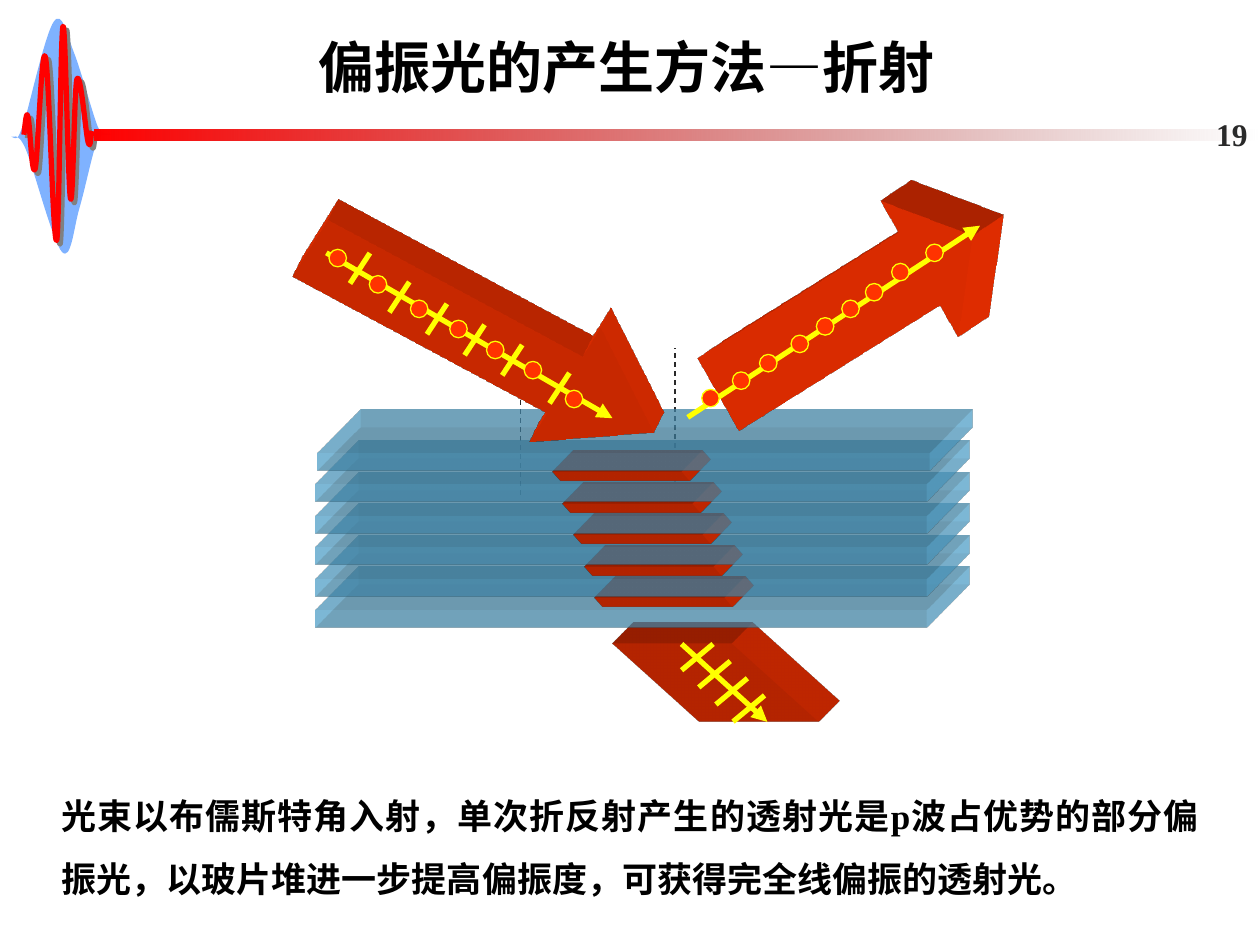
import dataclasses

import lxml.etree
import pptx
import pptx.dml.color
import pptx.enum.dml
import pptx.enum.shapes
import pptx.enum.text
import pptx.oxml.ns
import pptx.util

Pt = pptx.util.Pt
Shape = pptx.enum.shapes.MSO_SHAPE
Align = pptx.enum.text.PP_ALIGN
Anchor = pptx.enum.text.MSO_ANCHOR


@dataclasses.dataclass(frozen=True)
class Theme:
    ink: str = "000000"
    grey: str = "292929"
    shade: str = "808080"
    beam: str = "FF3300"
    ray: str = "FFFF00"
    glass: str = "66CCFF"
    pulse: str = "FF0000"
    fade: str = "760000"
    envelope: str = "0066FF"
    cjk: str = "Noto Sans CJK SC"
    latin: str = "Times New Roman"
    title_size: int = 32
    body_size: int = 20
    number_size: int = 18


def color(value):
    return pptx.dml.color.RGBColor.from_string(value)


def child(parent, tag, **attributes):
    element = lxml.etree.SubElement(parent, pptx.oxml.ns.qn(tag))
    for name, value in attributes.items():
        element.set(name, str(value))
    return element


class Painter:
    def __init__(self, slide, theme):
        self.slide = slide
        self.theme = theme

    def text(self, left, top, width, height, words, size, font, align, ink, anchor, spacing=1.0):
        box = self.slide.shapes.add_textbox(Pt(left), Pt(top), Pt(width), Pt(height))
        frame = box.text_frame
        frame.word_wrap = True
        frame.vertical_anchor = anchor
        para = frame.paragraphs[0]
        para.alignment = align
        para.line_spacing = spacing
        para.font.size = Pt(size)
        para.font.bold = True
        para.font.name = font
        para.font.color.rgb = color(ink)
        span = para.add_run()
        span.text = words
        child(span.font._element, "a:ea", typeface=self.theme.cjk)

    def solid(self, shape, fill, opacity=100):
        shape.shadow.inherit = False
        shape.line.fill.background()
        shape.fill.solid()
        shape.fill.fore_color.rgb = color(fill)
        if opacity < 100:
            tint = shape._element.spPr.find(".//" + pptx.oxml.ns.qn("a:srgbClr"))
            child(tint, "a:alpha", val=opacity * 1000)

    def shape(self, kind, left, top, width, height, fill, opacity=100, adjust=(), rotation=0, flip=None):
        shape = self.slide.shapes.add_shape(kind, Pt(left), Pt(top), Pt(width), Pt(height))
        self.solid(shape, fill, opacity)
        for index, value in enumerate(adjust):
            shape.adjustments[index] = value
        shape.rotation = rotation
        if flip:
            shape._element.spPr.get_or_add_xfrm().set(flip, "1")
        return shape

    def block(self, *args, depth=33.87, turn=0, light="b", **options):
        shape = self.shape(*args, **options)
        properties = shape._element.spPr
        scene = child(properties, "a:scene3d")
        camera = child(scene, "a:camera", prst="legacyObliqueTopRight")
        if turn:
            child(camera, "a:rot", lat=0, lon=turn * 60000, rev=0)
        child(scene, "a:lightRig", rig="legacyFlat3", dir=light)
        solid = child(properties, "a:sp3d", extrusionH=Pt(depth), prstMaterial="legacyMatte")
        child(child(solid, "a:extrusionClr"), "a:srgbClr", val=args[5])

    def dot(self, left, top):
        shape = self.shape(Shape.OVAL, left, top, 10, 10, self.theme.beam)
        shape.line.color.rgb = color(self.theme.ray)
        shape.line.width = Pt(0.75)

    def line(self, start, end, ink, width, arrow=False, dashed=False):
        line = self.slide.shapes.add_connector(
            pptx.enum.shapes.MSO_CONNECTOR.STRAIGHT, *(Pt(value) for value in (*start, *end)))
        line.line.color.rgb = color(ink)
        line.line.width = Pt(width)
        if dashed:
            line.line.dash_style = pptx.enum.dml.MSO_LINE.DASH
        if arrow:
            child(line.line._get_or_add_ln(), "a:tailEnd", type="triangle")
        child(line._element.spPr, "a:effectLst")

    def ticks(self, starts, run, rise):
        for x, y in starts:
            self.line((x, y), (x + run, y - rise), self.theme.ray, 3)

    def curve(self, points, close):
        spots = [(Pt(x * 0.72), Pt(y * 0.72)) for x, y in points]
        builder = self.slide.shapes.build_freeform(*spots[0], scale=1.0)
        builder.add_line_segments(spots[1:], close=close)
        shape = builder.convert_to_shape()
        segments = list(shape._element.spPr.iter(pptx.oxml.ns.qn("a:lnTo")))
        for index in range(0, len(spots) - 1, 3):
            bend = lxml.etree.Element(pptx.oxml.ns.qn("a:cubicBezTo"))
            segments[index].addprevious(bend)
            for segment in segments[index:index + 3]:
                bend.append(segment[0])
                segment.getparent().remove(segment)
        return shape

    def envelope(self, points):
        shape = self.curve(points, True)
        self.solid(shape, self.theme.envelope, 50)
        shape.rotation = 358

    def wave(self, points):
        shape = self.curve(points, False)
        shape.fill.background()
        shape.line.color.rgb = color(self.theme.pulse)
        shape.line.width = Pt(3)
        shape.shadow.inherit = False
        effects = shape._element.spPr.find(pptx.oxml.ns.qn("a:effectLst"))
        shadow = child(effects, "a:outerShdw", dist=Pt(2.8), dir=45 * 60000, algn="ctr", rotWithShape=0)
        child(shadow, "a:srgbClr", val=self.theme.shade)

    def fading_bar(self, left, top, width, height):
        bar = self.shape(Shape.RECTANGLE, left, top, width, height, self.theme.pulse)
        bar.fill.gradient()
        bar.fill.gradient_angle = 0
        for stop, ink in zip(bar.fill.gradient_stops, (self.theme.pulse, self.theme.fade)):
            stop.color.rgb = color(ink)
        tints = bar._element.spPr.findall(".//" + pptx.oxml.ns.qn("a:srgbClr"))
        child(tints[-1], "a:alpha", val=0)


def main():
    deck = pptx.Presentation()
    deck.slide_width, deck.slide_height = Pt(720), Pt(540)
    theme = Theme()
    painter = Painter(deck.slides.add_slide(deck.slide_layouts[6]), theme)

    painter.envelope([
        (9, 107), (8, 106), (12, 110), (14, 108), (15, 106), (14, 110), (20, 95),
        (25, 80), (39, 26), (46, 17), (53, 8), (56, 28), (61, 42),
        (66, 56), (74, 91), (78, 102), (83, 113), (88, 106), (88, 108),
        (88, 110), (82, 103), (77, 113), (73, 122), (66, 151), (61, 166),
        (56, 181), (53, 208), (46, 200), (39, 192), (26, 133), (20, 117),
        (14, 102), (10, 109), (9, 107)])
    painter.wave([
        (19, 107), (20, 98), (21, 88), (22, 92), (24, 97), (25, 142), (28, 134),
        (30, 126), (33, 35), (36, 45), (39, 54), (42, 195), (45, 191),
        (47, 187), (48, 26), (50, 21), (52, 15), (54, 151), (56, 158),
        (58, 165), (59, 70), (61, 63), (64, 55), (68, 106), (70, 113),
        (72, 120), (72, 106), (73, 104)])
    painter.fading_bar(54, 74.2, 666, 6)

    painter.text(76.3, 9.2, 564, 57, "偏振光的产生方法—折射", theme.title_size, theme.cjk,
                 Align.CENTER, theme.ink, Anchor.MIDDLE)
    painter.text(657.5, 68.3, 62.5, 17, "19", theme.number_size, theme.latin,
                 Align.RIGHT, theme.grey, Anchor.MIDDLE)
    painter.text(28, 438.5, 664, 75.5,
                 "光束以布儒斯特角入射，单次折反射产生的透射光是p波占优势的部分偏振光，"
                 "以玻片堆进一步提高偏振度，可获得完全线偏振的透射光。",
                 theme.body_size, theme.latin, Align.JUSTIFY, theme.ink, Anchor.TOP, 1.5)

    for x, bottom in ((297.3, 283), (385.8, 302.5)):
        painter.line((x, bottom), (x, bottom - 103.5), theme.grey, 0.75, dashed=True)

    painter.block(Shape.PARALLELOGRAM, 350, 368, 118, 44.5, theme.beam,
                  adjust=(1.117,), flip="flipH")
    painter.line((389.5, 368), (438.5, 412.5), theme.ray, 3, arrow=True)
    painter.ticks([(389.5 + 9.8 * i, 383 + 9.8 * i) for i in range(4)], 18, 15)

    for level in reversed(range(6)):
        painter.block(Shape.RECTANGLE, 180 if level else 181.5, 258.7 + 18 * level, 349.5, 10.2,
                      theme.glass, opacity=50, depth=69.87)
        if level:
            above = level - 1
            painter.block(Shape.PARALLELOGRAM, 315.5 + 6.1 * above, 269.5 + 18 * above, 78.5, 5.2,
                          theme.beam, adjust=(0.916,), flip="flipH")

    painter.block(Shape.RIGHT_ARROW, 165, 157.5, 221, 74, theme.beam, adjust=(0.5, 0.773),
                  rotation=31.9, turn=350, light="t")
    painter.line((186.5, 144.5), (350, 239), theme.ray, 3, arrow=True)
    painter.ticks([(200, 162), (222.5, 178.5), (244, 191), (265.5, 203), (287, 214.5), (314, 230.5)],
                  11.4, 17.4)
    for spot in ((188, 142.5), (211, 157.5), (234.5, 171.5), (257, 183), (278, 195),
                 (299.5, 206.5), (323, 223)):
        painter.dot(*spot)

    painter.block(Shape.RIGHT_ARROW, 390, 135.5, 186.5, 89, theme.beam, adjust=(0.534, 0.441),
                  rotation=327.4, flip="flipV", turn=10, light="t")
    painter.line((393, 238.5), (560, 129), theme.ray, 3, arrow=True)
    for spot in ((401, 222.5), (418.5, 212.5), (434, 202.5), (452, 191.5), (466.5, 181.5),
                 (481, 171.5), (494.5, 162), (509.5, 150.5), (529, 139.5)):
        painter.dot(*spot)

    deck.save("out.pptx")


if __name__ == "__main__":
    main()
